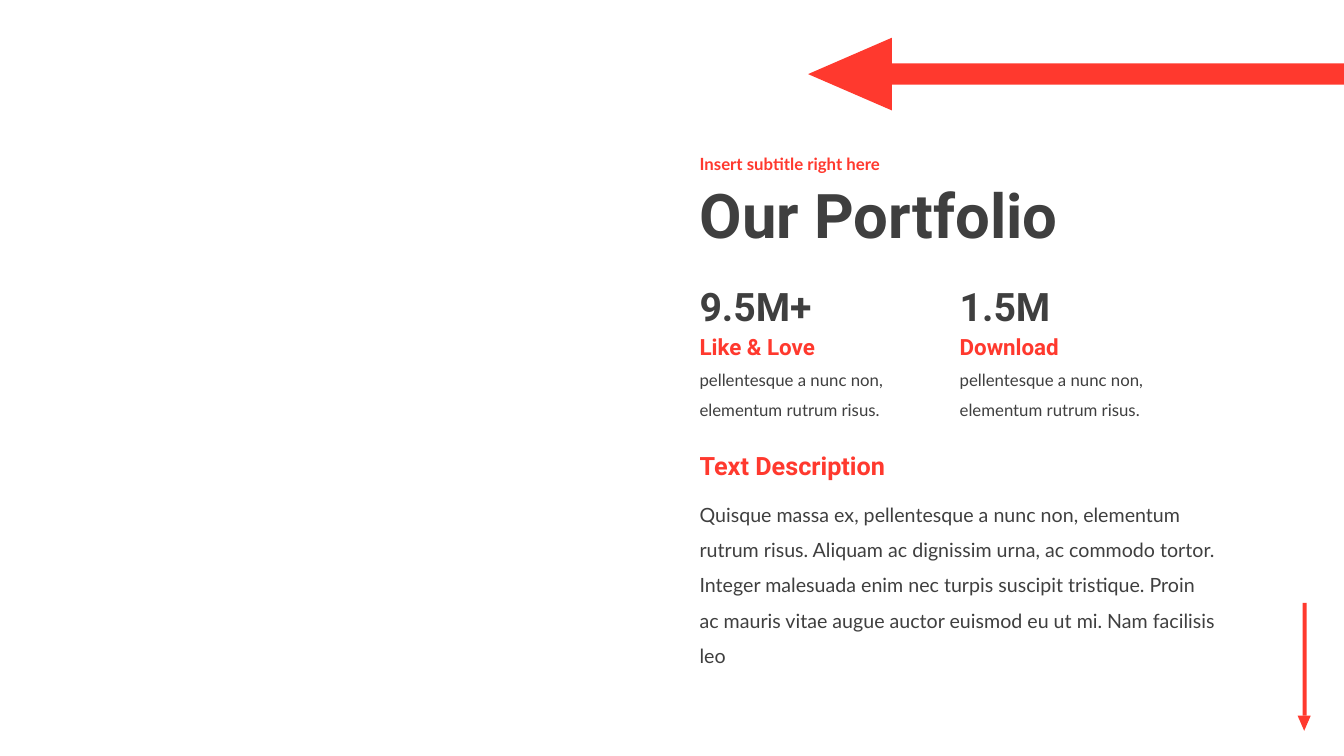
"""Build the portfolio slide with two arrows, two figures and a description."""
from dataclasses import dataclass

from pptx import Presentation
from pptx import util as u
from pptx.dml.color import RGBColor
from pptx.enum import shapes, text


@dataclass(frozen=True)
class Theme:
    accent: RGBColor = RGBColor(0xFF, 0x39, 0x2E)
    ink: RGBColor = RGBColor(0x3F, 0x3F, 0x3F)
    paper: RGBColor = RGBColor(0xFF, 0xFF, 0xFF)
    head: str = "Roboto"
    body: str = "Lato"
    title: int = 44
    figure: int = 28
    section: int = 18
    label: int = 16
    prose: int = 14
    small: int = 12


class Deck:
    ROWS = 75

    def __init__(self, theme):
        self.t = theme
        self.prs = Presentation()
        self.prs.slide_width = u.Inches(13.33)
        self.prs.slide_height = u.Inches(7.5)
        self.cell = self.prs.slide_height / self.ROWS
        self.cols = self.prs.slide_width / self.cell
        self.s = self.prs.slides.add_slide(self.prs.slide_layouts[6])
        self.s.background.fill.solid()
        self.s.background.fill.fore_color.rgb = theme.paper

    def box(self, *cells):
        return [u.Emu(round(c * self.cell)) for c in cells]

    def label(self, col, row, width, height, words, size, color, font,
              bold=True, spacing=1.0, middle=False):
        tf = self.s.shapes.add_textbox(*self.box(col, row, width, height)).text_frame
        tf.word_wrap = True
        tf.vertical_anchor = text.MSO_ANCHOR.MIDDLE if middle else text.MSO_ANCHOR.TOP
        tf.text = words
        p = tf.paragraphs[0]
        p.line_spacing = spacing
        r = p.runs[0]
        r.font.size = u.Pt(size)
        r.font.name = font
        r.font.bold = bold
        r.font.color.rgb = color

    def solid(self, group, kind, cells, turn=0):
        sp = group.shapes.add_shape(kind, *self.box(*cells))
        sp.rotation = turn
        sp.shadow.inherit = False
        sp.fill.solid()
        sp.fill.fore_color.rgb = self.t.accent
        sp.line.fill.background()

    def arrow(self, shaft, head, turn):
        group = self.s.shapes.add_group_shape()
        self.solid(group, shapes.MSO_SHAPE.RECTANGLE, shaft)
        self.solid(group, shapes.MSO_SHAPE.ISOSCELES_TRIANGLE, head, turn)

    def stat(self, col, figure, caption, note):
        t = self.t
        self.label(col, 35.2, 25.3, 6.7, note, t.small, t.ink, t.body, False, 1.5)
        self.label(col, 32.6, 20, 3.7, caption, t.label, t.accent, t.head)
        self.label(col, 27.5, 20, 5.7, figure, t.figure, t.ink, t.head)


def main():
    t = Theme()
    d = Deck(t)
    left, step = 68.4, 25.8
    rest = d.cols - left

    d.arrow((129.2, 59.8, 0.4, 11.2), (128.7, 71, 1.3, 1.5), 180)
    d.label(left, 16.5, rest, 10.3, "Our Portfolio",
            t.title, t.ink, t.head, spacing=0.9, middle=True)
    d.label(left, 14.5, rest, 3.8, "Insert subtitle right here",
            t.small, t.accent, t.body, spacing=0.9, middle=True)
    d.label(left, 48.2, 53.3, 14.8,
            "Quisque massa ex, pellentesque a nunc non, elementum rutrum risus. "
            "Aliquam ac dignissim urna, ac commodo tortor. Integer malesuada enim "
            "nec turpis suscipit tristique. Proin ac mauris vitae augue auctor "
            "euismod eu ut mi. Nam facilisis leo",
            t.prose, t.ink, t.body, bold=False, spacing=1.5)
    d.label(left, 44.2, 29.2, 4, "Text Description", t.section, t.accent, t.head)

    for i, (figure, caption) in enumerate([("9.5M+", "Like & Love"), ("1.5M", "Download")]):
        d.stat(left + i * step, figure, caption,
               "pellentesque a nunc non, elementum rutrum risus.")

    d.arrow((88.4, 6.3, d.cols - 88.4, 2.1), (80.7, 3.2, 7.2, 8.3), 270)
    d.prs.save("out.pptx")


if __name__ == "__main__":
    main()
